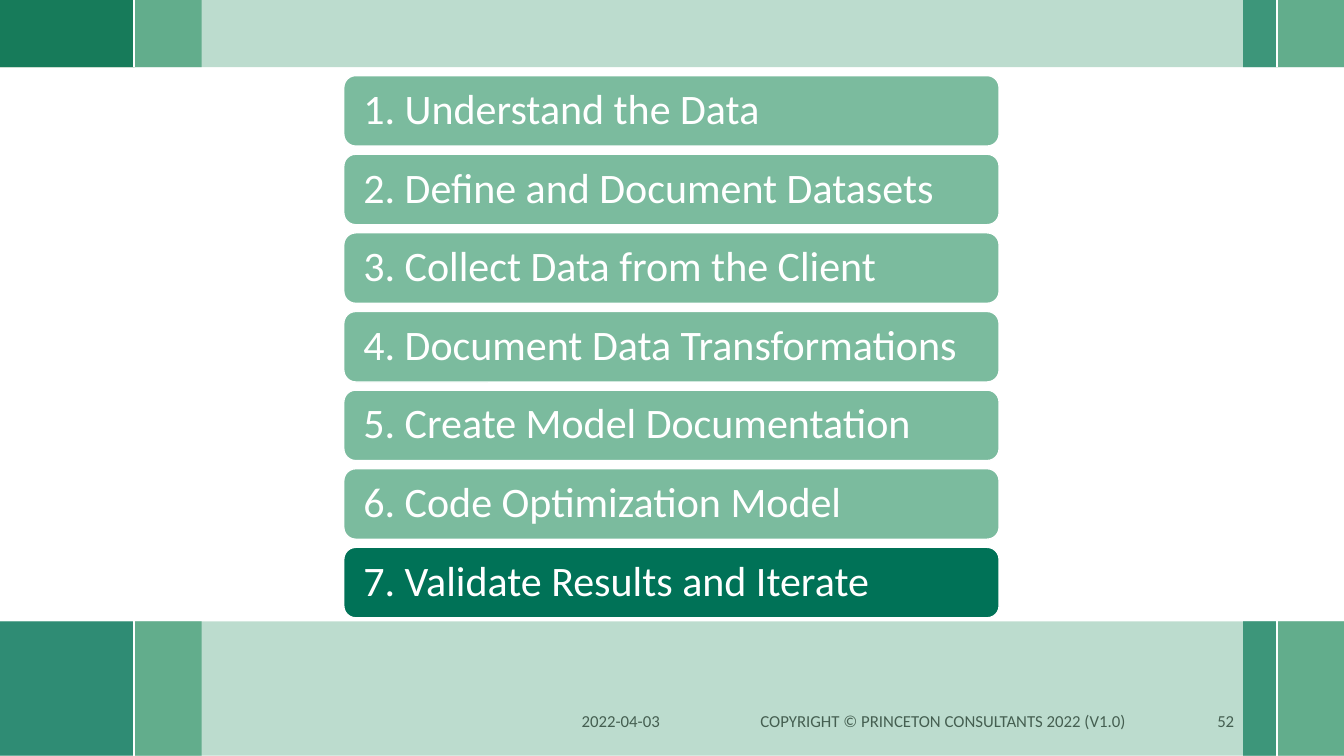
from lxml.etree import SubElement
from pptx import Presentation
from pptx.dml.color import RGBColor
from pptx.enum.shapes import MSO_CONNECTOR, MSO_SHAPE
from pptx.enum.text import MSO_ANCHOR, PP_ALIGN
from pptx.oxml.ns import qn
from pptx.util import Inches, Pt

STEPS = [
    "1. Understand the Data",
    "2. Define and Document Datasets",
    "3. Collect Data from the Client",
    "4. Document Data Transformations",
    "5. Create Model Documentation",
    "6. Code Optimization Model",
    "7. Validate Results and Iterate",
]
CURRENT = 6
FOOTER = [
    ("2022-04-03", 5.67, 1.33, PP_ALIGN.LEFT),
    ("COPYRIGHT © PRINCETON CONSULTANTS 2022 (V1.0)", 7.16, 4.39, PP_ALIGN.CENTER),
    ("52", 11.67, 0.67, PP_ALIGN.RIGHT),
]
COLORS = {"deep": "007257", "mid": "4A9F7B", "pale": "7BBB9E",
          "olive": "3F762B", "white": "FFFFFF", "footer": "455F51"}
FONT = "Calibri"
WIDTH, HEIGHT = 13.33, 7.5
COLS = 20
UNIT = WIDTH / COLS
BANDS = [(9.25, 2, False), (0, 1, True)]
STEP_LEFT, STEP_TOP, STEP_W, STEP_H, STEP_PITCH = 3.41, 0.75, 6.5, 0.7, 0.78

prs = Presentation()
prs.slide_width, prs.slide_height = Inches(WIDTH), Inches(HEIGHT)
slide = prs.slides.add_slide(prs.slide_layouts[6])


def rgb(name):
    return RGBColor.from_string(COLORS[name])


def add_block(kind, x, y, w, h, color, alpha=None):
    sp = slide.shapes.add_shape(kind, Inches(x), Inches(y), Inches(w), Inches(h))
    sp.shadow.inherit = False
    sp.fill.solid()
    sp.fill.fore_color.rgb = rgb(color)
    sp.line.fill.background()
    if alpha is not None:
        clr = sp._element.spPr.find(qn("a:solidFill"))[0]
        SubElement(clr, qn("a:alpha")).set("val", str(alpha * 1000))
    return sp


def add_tile(col, row, cols, rows, color, alpha=None):
    add_block(MSO_SHAPE.RECTANGLE, col * UNIT, row * UNIT, cols * UNIT, rows * UNIT, color, alpha)


def add_rule(col, row, rows):
    x = Inches(col * UNIT)
    line = slide.shapes.add_connector(MSO_CONNECTOR.STRAIGHT, x, Inches(row * UNIT),
                                      x, Inches((row + rows) * UNIT))
    line.line.color.rgb = rgb("white")
    line.line.width = Pt(1.5)
    SubElement(line._element.spPr, qn("a:effectLst"))


def set_text(sp, text, size, color, align):
    tf = sp.text_frame
    tf.word_wrap = True
    tf.vertical_anchor = MSO_ANCHOR.MIDDLE
    tf.text = text
    p = tf.paragraphs[0]
    p.alignment = align
    r = p.runs[0]
    r.font.size, r.font.name = Pt(size), FONT
    r.font.color.rgb = rgb(color)
    return tf


for row, rows, has_base in BANDS:
    add_tile(19, row, 1, rows, "mid")
    add_tile(18.5, row, 0.5, rows, "deep")
    add_tile(2, row, 1, rows, "mid")
    if has_base:
        add_tile(0, row, 2, rows, "olive")
    add_tile(0, row, COLS, rows, "pale", 50)
    add_rule(19, row, rows)
    add_tile(0, row, 2, rows, "deep", 75)
    add_rule(2, row, rows)

for text, x, w, align in FOOTER:
    box = slide.shapes.add_textbox(Inches(x), Inches(6.95), Inches(w), Inches(0.4))
    set_text(box, text, 12, "footer", align)

for i, step in enumerate(STEPS):
    sp = add_block(MSO_SHAPE.ROUNDED_RECTANGLE, STEP_LEFT, STEP_TOP + i * STEP_PITCH,
                   STEP_W, STEP_H, "deep" if i == CURRENT else "pale")
    sp.adjustments[0] = 0.17
    sp.line.color.rgb = rgb("white")
    sp.line.width = Pt(1)
    tf = set_text(sp, step, 30, "white", PP_ALIGN.LEFT)
    tf.margin_left = tf.margin_right = tf.margin_top = tf.margin_bottom = Inches(0.16)
    tf.paragraphs[0].line_spacing = 0.9

prs.save("out.pptx")
